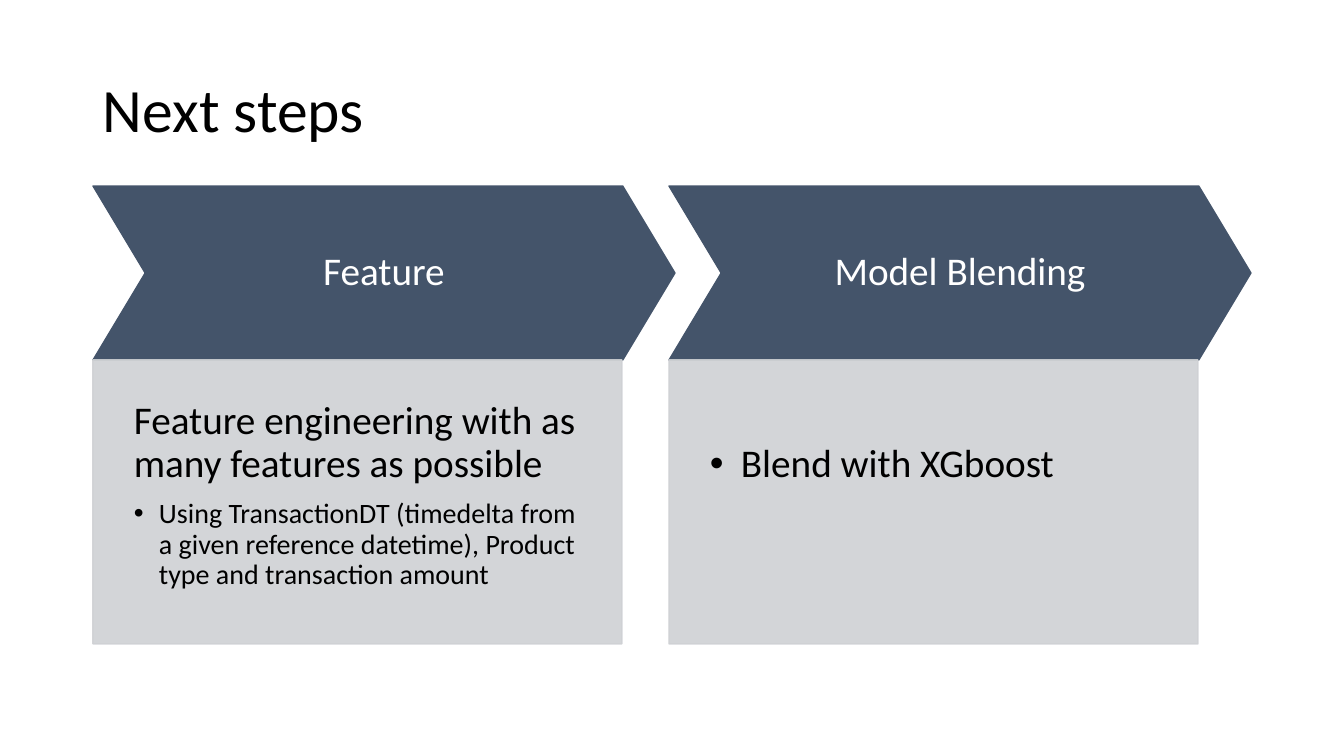
from dataclasses import dataclass

from lxml import etree
from pptx import Presentation
from pptx.dml.color import RGBColor
from pptx.enum.shapes import MSO_SHAPE
from pptx.enum.text import MSO_ANCHOR, PP_ALIGN
from pptx.oxml.ns import qn
from pptx.util import Pt

# Content: each step has a heading, body inset from the top (px),
# and paragraphs of (text, size role, bullet indent in px)
TITLE = "Next steps"
STEPS = [
    ("Feature", 41, [
        ("Feature engineering with as many features as possible", "large", 0),
        ("Using TransactionDT (timedelta from a given reference datetime), "
         "Product type and transaction amount", "small", 25),
    ]),
    ("Model Blending", 84, [("Blend with XGboost", "large", 31)]),
]


@dataclass(frozen=True)
class Theme:
    font: str = "Calibri"
    title: int = 44
    large: int = 28
    small: int = 20
    ink: str = "000000"
    light: str = "FFFFFF"
    arrow: str = "44546A"
    panel: str = "CFD1D4"
    panel_alpha: int = 90


THEME = Theme()

# Layout in px
SLIDE_W, SLIDE_H = 1344, 756
LEFT, TOP, STEP_PITCH = 93, 186, 576
ARROW_W, ARROW_H, ARROW_POINT = 582, 174, 0.3
PANEL_W, PANEL_H = 529, 284
ARROW_INSET, PANEL_INSET, PANEL_BOTTOM = 21, 41, 84


def px(n):
    return round(n * 914400 / 100.8)


def set_frame(tf, anchor, insets=None):
    tf.word_wrap = True
    tf.vertical_anchor = anchor
    if insets:
        (tf.margin_left, tf.margin_top,
         tf.margin_right, tf.margin_bottom) = map(px, insets)


def write(p, text, size, color, align=PP_ALIGN.LEFT, indent=0):
    p.alignment = align
    p.line_spacing = 0.9
    if indent:
        pPr = p._p.get_or_add_pPr()
        pPr.set("marL", str(px(indent)))
        pPr.set("indent", str(-px(indent)))
        etree.SubElement(pPr, qn("a:buFont")).set("typeface", "Arial")
        etree.SubElement(pPr, qn("a:buChar")).set("char", "•")
    r = p.add_run()
    r.text = text
    r.font.name = THEME.font
    r.font.size = Pt(size)
    r.font.color.rgb = RGBColor.from_string(color)


def add_block(slide, kind, x, y, w, h, color, alpha=100):
    s = slide.shapes.add_shape(kind, px(x), px(y), px(w), px(h))
    s.shadow.inherit = False
    s.fill.solid()
    s.line.width = Pt(1)
    for fill in (s.fill, s.line.fill):
        fill.solid()
        fill.fore_color.rgb = RGBColor.from_string(color)
    if alpha < 100:
        for clr in s._element.spPr.iter(qn("a:srgbClr")):
            etree.SubElement(clr, qn("a:alpha")).set("val", str(alpha * 1000))
    return s


def add_step(slide, x, heading, top_inset, paragraphs):
    # Chevron heading
    s = add_block(slide, MSO_SHAPE.CHEVRON, x, TOP, ARROW_W, ARROW_H, THEME.arrow)
    s.adjustments[0] = ARROW_POINT
    set_frame(s.text_frame, MSO_ANCHOR.MIDDLE, [ARROW_INSET] * 4)
    write(s.text_frame.paragraphs[0], heading, THEME.large, THEME.light,
          PP_ALIGN.CENTER)

    # Detail panel
    s = add_block(slide, MSO_SHAPE.RECTANGLE, x, TOP + ARROW_H, PANEL_W, PANEL_H,
                  THEME.panel, THEME.panel_alpha)
    tf = s.text_frame
    set_frame(tf, MSO_ANCHOR.TOP,
              (PANEL_INSET, top_inset, PANEL_INSET, PANEL_BOTTOM))
    for i, (text, role, indent) in enumerate(paragraphs):
        p = tf.add_paragraph() if i else tf.paragraphs[0]
        if i:
            p.space_before = Pt(10)
        write(p, text, getattr(THEME, role), THEME.ink, indent=indent)


def main():
    prs = Presentation()
    prs.slide_width, prs.slide_height = px(SLIDE_W), px(SLIDE_H)
    slide = prs.slides.add_slide(prs.slide_layouts[6])

    # Title
    title = slide.shapes.add_textbox(px(LEFT), px(40), px(1159), px(146))
    set_frame(title.text_frame, MSO_ANCHOR.MIDDLE)
    write(title.text_frame.paragraphs[0], TITLE, THEME.title, THEME.ink)

    # Steps, left to right
    for i, step in enumerate(STEPS):
        add_step(slide, LEFT + i * STEP_PITCH, *step)

    prs.save("out.pptx")


if __name__ == "__main__":
    main()
